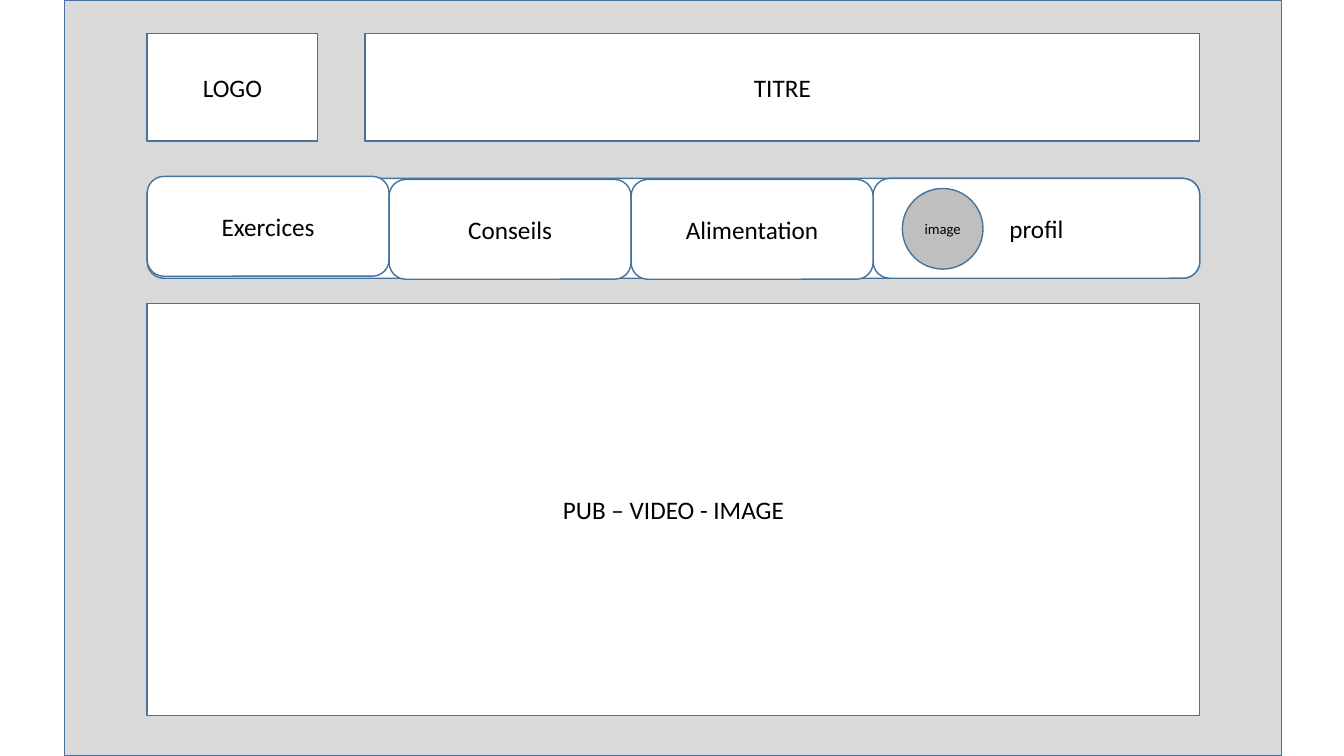
import pptx
import pptx.util
import pptx.dml.color
import pptx.enum.shapes
import pptx.enum.text

Inches = pptx.util.Inches
SHAPES = pptx.enum.shapes.MSO_SHAPE
RGB = pptx.dml.color.RGBColor

WHITE = RGB(0xFF, 0xFF, 0xFF)
BLACK = RGB(0x00, 0x00, 0x00)
PAGE_GREY = RGB(0xD9, 0xD9, 0xD9)
AVATAR_GREY = RGB(0xBF, 0xBF, 0xBF)
OUTLINE_BLUE = RGB(0x43, 0x73, 0x9E)

LEFT, WIDTH = 1.46, 10.44
RIGHT = LEFT + WIDTH
HEADER_TOP, HEADER_HEIGHT = 0.33, 1.07
MENU_TOP, MENU_HEIGHT = 1.77, 0.99
TAB_WIDTH = 2.4

deck = pptx.Presentation()
deck.slide_width = Inches(13.33)
deck.slide_height = Inches(7.5)
slide = deck.slides.add_slide(deck.slide_layouts[6])


def add_block(kind, left, top, width, height, label="", fill=WHITE, size=18):
    block = slide.shapes.add_shape(
        kind, Inches(left), Inches(top), Inches(width), Inches(height))
    block.shadow.inherit = False
    block.fill.solid()
    block.fill.fore_color.rgb = fill
    block.line.color.rgb = OUTLINE_BLUE
    block.line.width = pptx.util.Pt(1)
    if label:
        frame = block.text_frame
        frame.word_wrap = True
        frame.vertical_anchor = pptx.enum.text.MSO_ANCHOR.MIDDLE
        paragraph = frame.paragraphs[0]
        paragraph.alignment = pptx.enum.text.PP_ALIGN.CENTER
        run = paragraph.add_run()
        run.text = label
        font_format = {"name": "Calibri", "size": pptx.util.Pt(size)}
        for attribute, value in font_format.items():
            setattr(run.font, attribute, value)
        run.font.color.rgb = BLACK


# Page and main content area
add_block(SHAPES.RECTANGLE, 0.64, 0, 12.07, 7.5, fill=PAGE_GREY)
add_block(SHAPES.RECTANGLE, LEFT, 3.01, WIDTH, 4.09, "PUB – VIDEO - IMAGE")

# Header
for label, left, width in [("LOGO", LEFT, 1.69), ("TITRE", 3.62, 8.28)]:
    add_block(SHAPES.RECTANGLE, left, HEADER_TOP, width, HEADER_HEIGHT, label)

# Menu bar, with the profile tab filling what the three tabs leave
profile_left = LEFT + 3 * TAB_WIDTH
add_block(SHAPES.ROUNDED_RECTANGLE, LEFT, MENU_TOP, WIDTH, MENU_HEIGHT)
add_block(SHAPES.ROUNDED_RECTANGLE, profile_left, MENU_TOP,
          RIGHT - profile_left, MENU_HEIGHT, "profil")

# Menu tabs
tabs = [("Exercices", 1.75), ("Conseils", 1.78), ("Alimentation", 1.78)]
for column, (label, top) in enumerate(tabs):
    add_block(SHAPES.ROUNDED_RECTANGLE, LEFT + column * TAB_WIDTH, top,
              TAB_WIDTH, MENU_HEIGHT, label)

# Profile avatar
add_block(SHAPES.OVAL, 8.95, 1.87, 0.8, 0.8, "image", AVATAR_GREY, 10.5)

deck.save("out.pptx")
